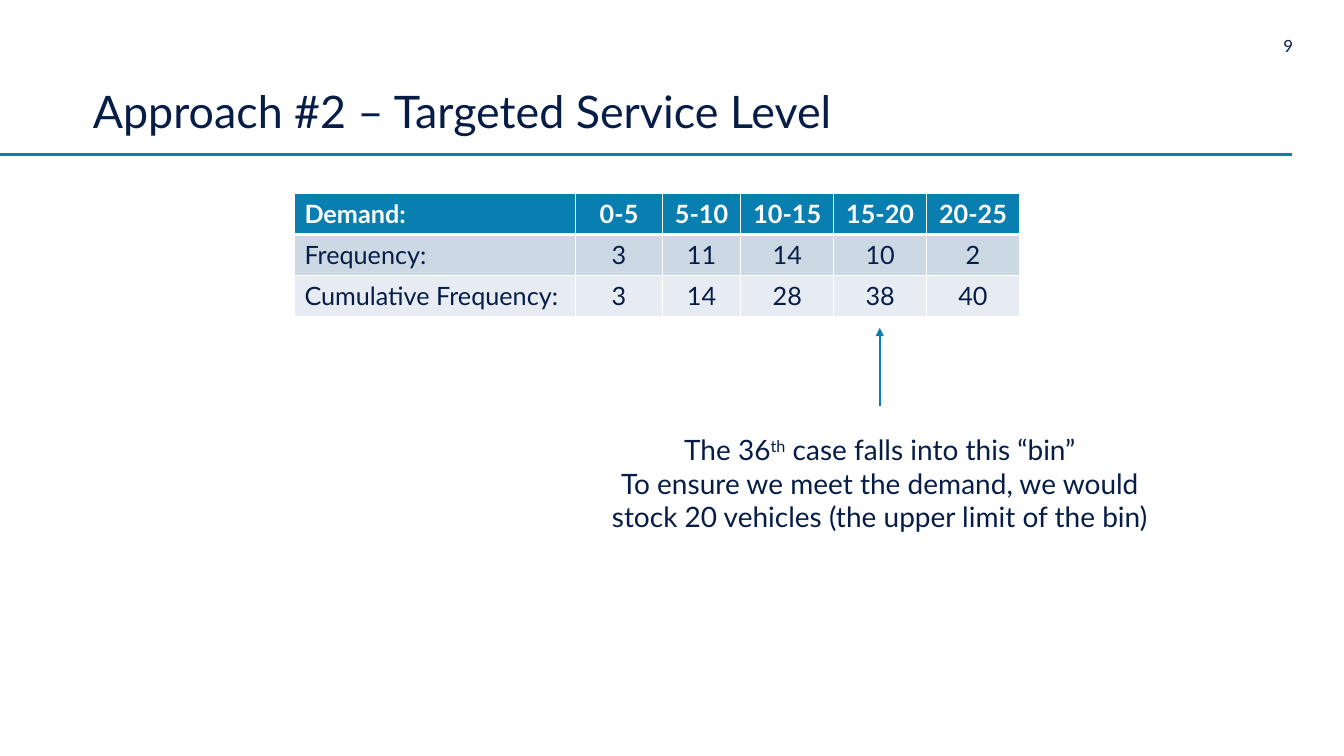
from dataclasses import dataclass

from lxml.etree import SubElement
from pptx import Presentation
from pptx.dml.color import RGBColor
from pptx.enum.shapes import MSO_CONNECTOR
from pptx.enum.text import MSO_ANCHOR, PP_ALIGN
from pptx.oxml.ns import qn
from pptx.util import Cm, Pt


@dataclass(frozen=True)
class Theme:
    """Colours, font and type sizes of the slide."""
    font: str = "Lato"
    ink: str = "061D48"
    accent: str = "097EB1"
    white: str = "FFFFFF"
    bands: tuple = ("CCD8E4", "E7ECF2")
    title: int = 32
    note: int = 20
    table: int = 18
    number: int = 12


THEME = Theme()
DEMAND = [
    ["Demand:", "0-5", "5-10", "10-15", "15-20", "20-25"],
    ["Frequency:", "3", "11", "14", "10", "2"],
    ["Cumulative Frequency:", "3", "14", "28", "38", "40"],
]
COLUMN_WIDTHS = [7.09, 2.18, 1.98, 2.34, 2.34, 2.34]
ROW_HEIGHT = 1.03


def add_run(p, text, size, color=THEME.ink, bold=False, raised=False):
    """Append one formatted run to a paragraph."""
    r = p.add_run()
    r.text = text
    r.font.name = THEME.font
    r.font.size = Pt(size)
    r.font.bold = bold
    r.font.color.rgb = RGBColor.from_string(color)
    if raised:
        r._r.get_or_add_rPr().set("baseline", "30000")


def add_text(s, box, paragraphs, size, align=PP_ALIGN.LEFT,
             anchor=MSO_ANCHOR.TOP, inset=(0, 0), spacing=1.0):
    """Add a text box whose paragraphs are lists of (text, raised) runs."""
    tf = s.shapes.add_textbox(*map(Cm, box)).text_frame
    tf.word_wrap = True
    tf.vertical_anchor = anchor
    tf.margin_left = tf.margin_right = Cm(inset[0])
    tf.margin_top = tf.margin_bottom = Cm(inset[1])
    for i, runs in enumerate(paragraphs):
        p = tf.add_paragraph() if i else tf.paragraphs[0]
        p.alignment = align
        p.line_spacing = spacing
        for text, raised in runs:
            add_run(p, text, size, raised=raised)


def add_line(s, start, end, width, arrow=False):
    """Draw a straight accent line, with an arrowhead at its end if asked."""
    line = s.shapes.add_connector(MSO_CONNECTOR.STRAIGHT, *map(Cm, start + end))
    line.line.color.rgb = RGBColor.from_string(THEME.accent)
    line.line.width = Pt(width)
    if arrow:
        SubElement(line.line._get_or_add_ln(), qn("a:tailEnd"), type="triangle")
    SubElement(line._element.spPr, qn("a:effectLst"))


def style_cell(cell, fill, top, bottom):
    """Give a cell white borders and a solid fill."""
    tcPr = cell._tc.get_or_add_tcPr()
    for side, width in (("L", 1), ("R", 1), ("T", top), ("B", bottom)):
        ln = SubElement(tcPr, qn(f"a:ln{side}"), w=str(Pt(width)))
        solid = SubElement(ln, qn("a:solidFill"))
        SubElement(solid, qn("a:srgbClr"), val=THEME.white)
    cell.fill.solid()
    cell.fill.fore_color.rgb = RGBColor.from_string(fill)


def add_demand_table(s, left, top):
    """Add the demand table with its header and two banded rows."""
    frame = s.shapes.add_table(
        len(DEMAND), len(COLUMN_WIDTHS), Cm(left), Cm(top),
        Cm(sum(COLUMN_WIDTHS)), Cm(ROW_HEIGHT * len(DEMAND)))
    table = frame.table
    for column, width in zip(table.columns, COLUMN_WIDTHS):
        column.width = Cm(width)
    for i, values in enumerate(DEMAND):
        table.rows[i].height = Cm(ROW_HEIGHT)
        header = i == 0
        fill = THEME.accent if header else THEME.bands[i - 1]
        color = THEME.white if header else THEME.ink
        for j, value in enumerate(values):
            cell = table.cell(i, j)
            style_cell(cell, fill, 3 if i == 1 else 1, 3 if header else 1)
            p = cell.text_frame.paragraphs[0]
            p.alignment = PP_ALIGN.CENTER if j else PP_ALIGN.LEFT
            add_run(p, value, THEME.table, color, bold=header)


def main():
    """Build the slide and save it."""
    prs = Presentation()
    prs.slide_width, prs.slide_height = Cm(33.87), Cm(19.05)
    s = prs.slides.add_slide(prs.slide_layouts[6])
    add_line(s, (0, 3.89), (32.56, 3.89), 2.25)
    add_text(s, (31.55, 0.91, 1.04, 0.51), [[("9", False)]],
             THEME.number, PP_ALIGN.RIGHT)
    add_text(s, (2.34, 0.86, 26.11, 2.62),
             [[("Approach #2 – Targeted Service Level", False)]],
             THEME.title, anchor=MSO_ANCHOR.BOTTOM, spacing=0.9)
    add_demand_table(s, 7.42, 4.88)
    add_line(s, (22.17, 10.24), (22.17, 8.26), 1.25, arrow=True)
    add_text(s, (15.01, 10.77, 14.33, 2.82), [
        [("The 36", False), ("th", True), (" case falls into this “bin”", False)],
        [("To ensure we meet the demand, we would stock 20 vehicles "
          "(the upper limit of the bin)", False)],
    ], THEME.note, PP_ALIGN.CENTER, inset=(0.25, 0.13))
    prs.save("out.pptx")


if __name__ == "__main__":
    main()
